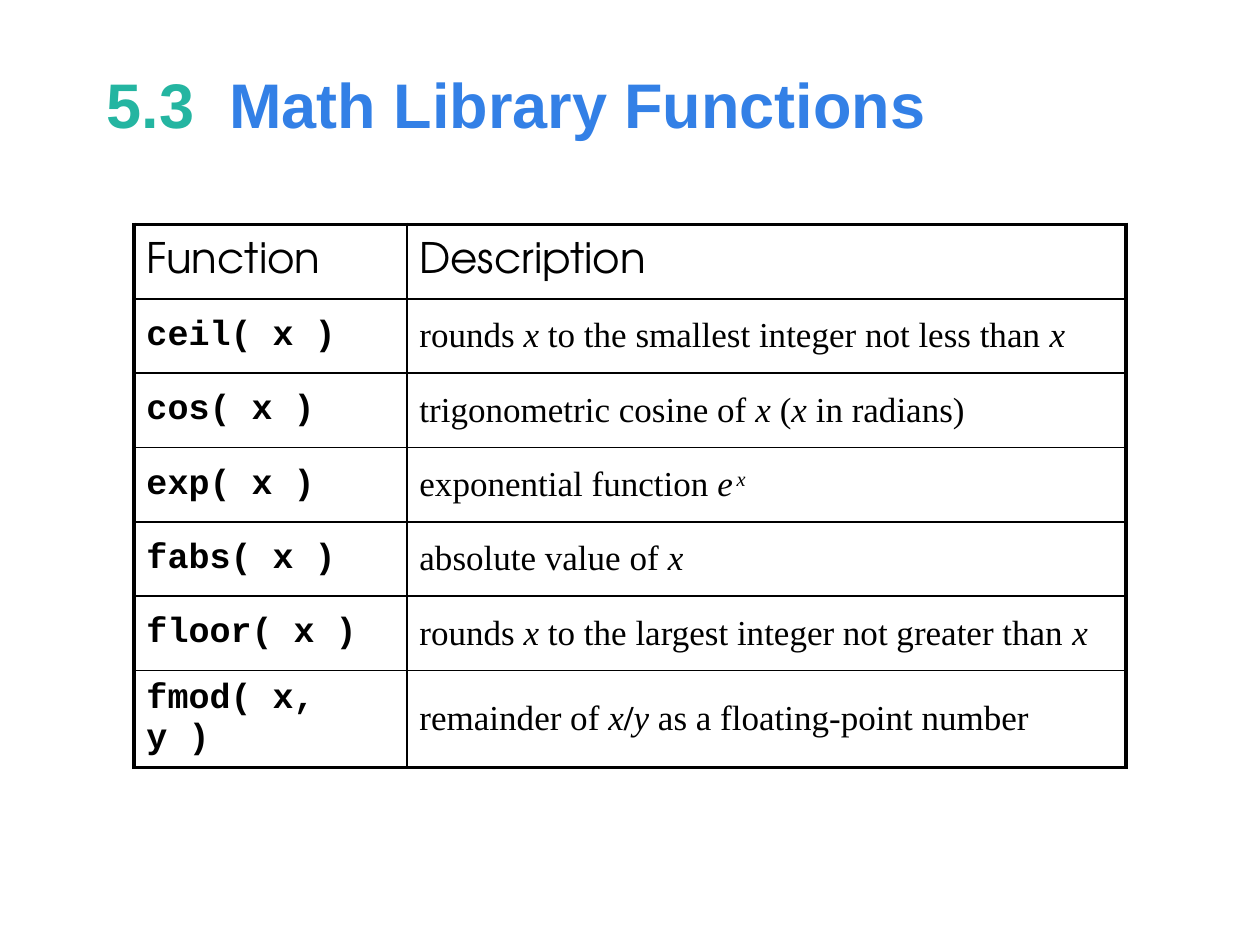
from lxml.etree import SubElement
from pptx import Presentation
from pptx.dml.color import RGBColor
from pptx.enum.text import MSO_ANCHOR
from pptx.oxml import parse_xml
from pptx.oxml.ns import nsdecls
from pptx.util import Pt

X = ("x", "i")
ROWS = [
    ("ceil( x )", ["rounds ", X, " to the smallest integer not less than ", X]),
    ("cos( x )", ["trigonometric cosine of ", X, " (", X, " in radians)"]),
    ("exp( x )", ["exponential function ", ("e", "iw"), ("x", "is")]),
    ("fabs( x )", ["absolute value of ", X]),
    ("floor( x )", ["rounds ", X, " to the largest integer not greater than ", X]),
    ("fmod( x, y )", ["remainder of ", X, ("/", "b"), ("y", "i"),
                      " as a floating-point number"]),
]


def color(code):
    return RGBColor.from_string(code)


class Deck:
    ink = "000000"
    thin, thick = 1, 2.25

    def __init__(self, width, height):
        self.prs = Presentation()
        self.prs.slide_width, self.prs.slide_height = Pt(width), Pt(height)
        self.slide = self.prs.slides.add_slide(self.prs.slide_layouts[6])

    def font(self, para, name, size, bold=False):
        para.font.name, para.font.size, para.font.bold = name, Pt(size), bold

    def title(self, parts, left, top, width, height):
        box = self.slide.shapes.add_textbox(Pt(left), Pt(top), Pt(width), Pt(height))
        frame = box.text_frame
        frame.word_wrap = True
        frame.vertical_anchor = MSO_ANCHOR.MIDDLE
        para = frame.paragraphs[0]
        self.font(para, "Arial", 36, True)
        for text, code in parts:
            run = para.add_run()
            run.text = text
            run.font.color.rgb = color(code)

    def table(self, count, left, top, widths, height):
        frame = self.slide.shapes.add_table(
            count, len(widths), Pt(left), Pt(top), Pt(sum(widths)), Pt(count * height))
        table = frame.table
        table.first_row = table.horz_banding = False
        for col, width in zip(table.columns, widths):
            col.width = Pt(width)
        for row in table.rows:
            row.height = Pt(height)
        last = count - 1, len(widths) - 1
        for r in range(count):
            for c in range(len(widths)):
                edges = {"L": c == 0, "R": c == last[1], "T": r == 0, "B": r == last[0]}
                self.border(table.cell(r, c), edges)
        return table

    def border(self, cell, edges):
        """Line each side of a cell, thick where the side is an outer edge."""
        cell.fill.background()
        props = cell._tc.get_or_add_tcPr()
        for i, (side, outer) in enumerate(edges.items()):
            width = Pt(self.thick if outer else self.thin)
            line = parse_xml(f'<a:ln{side} {nsdecls("a")} w="{width}"/>')
            fill = SubElement(line, line.tag.split("}")[0] + "}solidFill")
            SubElement(fill, line.tag.split("}")[0] + "}srgbClr", val=self.ink)
            props.insert(i, line)

    def cell(self, cell, parts, name, size, bold=False):
        """Fill a cell; style marks: i italic, b bold, w wide, s superscript."""
        cell.vertical_anchor = MSO_ANCHOR.MIDDLE
        para = cell.text_frame.paragraphs[0]
        self.font(para, name, size, bold)
        para.font.color.rgb = color(self.ink)
        for part in parts:
            text, marks = (part, "") if isinstance(part, str) else part
            run = para.add_run()
            run.text = text
            if "i" in marks:
                run.font.italic = True
            if "b" in marks:
                run.font.bold = True
            props = run._r.get_or_add_rPr()
            if "w" in marks:
                props.set("spc", "200")
            if "s" in marks:
                props.set("baseline", "30000")


def main():
    deck = Deck(720, 540)
    deck.title([("5.3  ", "24B5A1"), ("Math Library Functions", "3380E6")],
               54, 20, 612, 78)
    table = deck.table(len(ROWS) + 1, 76.5, 128.25, [156, 411], 42.5)
    for c, head in enumerate(["Function", "Description"]):
        deck.cell(table.cell(0, c), [head], "TeX Gyre Adventor", 24)
    for r, (call, about) in enumerate(ROWS, 1):
        deck.cell(table.cell(r, 0), [call], "Courier New", 20, True)
        deck.cell(table.cell(r, 1), about, "Times New Roman", 20)
    deck.prs.save("out.pptx")


if __name__ == "__main__":
    main()
